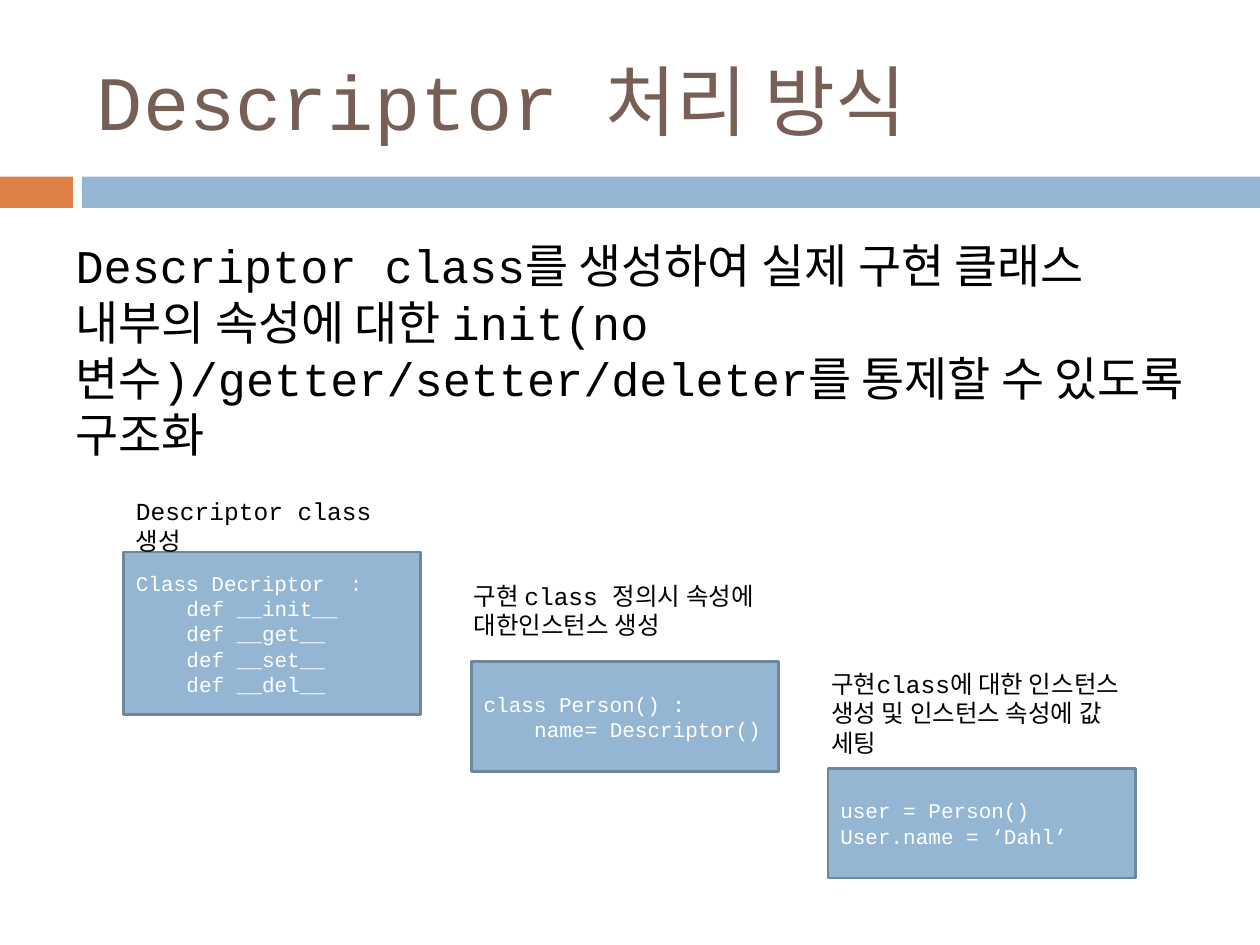
from lxml.etree import SubElement
from pptx import Presentation
from pptx.dml.color import RGBColor
from pptx.enum.shapes import MSO_SHAPE as Shape
from pptx.enum.text import MSO_ANCHOR as Anchor, MSO_AUTO_SIZE as AutoSize, PP_ALIGN as Align
from pptx.oxml.ns import qn
from pptx.util import Cm, Pt

FONT = "Courier New"
BLUE, ORANGE, EDGE = "94B6D2", "DD8047", "6D879B"
BROWN, BLACK, WHITE = "775F55", "000000", "FFFFFF"
CODE_INDENT = 1.02

HEADING = "Descriptor 처리 방식"
SUMMARY = ("Descriptor class를 생성하여 실제 구현 클래스 내부의 속성에 대한 "
           "init(no 변수)/getter/setter/deleter를 통제할 수 있도록 구조화")
BANDS = [
    ((0, 3.56, 1.47, 0.63), ORANGE),
    ((1.65, 3.56, 23.75, 0.63), BLUE),
]
STEPS = [
    {
        "label": "Descriptor class 생성",
        "label_box": (2.49, 9.88, 5.99, 0.86),
        "code": [(0, "Class Decriptor  :"), (1, "def __init__"), (1, "def __get__"),
                 (1, "def __set__"), (1, "def __del__")],
        "code_box": (2.49, 11.13, 5.99, 3.28),
    },
    {
        "label": "구현 class 정의시 속성에 대한인스턴스 생성",
        "label_box": (9.3, 11.58, 6.4, 1.45),
        "code": [(0, "class Person() :"), (1, "name= Descriptor()")],
        "code_box": (9.5, 13.34, 6.2, 2.21),
    },
    {
        "label": "구현class에 대한 인스턴스 생성 및 인스턴스 속성에 값 세팅",
        "label_box": (16.51, 13.36, 6.4, 2.06),
        "code": [(0, "user = Person()"), (0, "User.name = ‘Dahl’")],
        "code_box": (16.69, 15.49, 6.2, 2.21),
    },
]


def color(hex_code):
    return RGBColor.from_string(hex_code)


def place(placeholder, box):
    placeholder.left, placeholder.top, placeholder.width, placeholder.height = map(Cm, box)


def write(paragraph, text, *, size, ink, before=0, indent=0):
    paragraph.alignment = Align.LEFT
    paragraph.space_before = Pt(before)
    properties = paragraph._p.get_or_add_pPr()
    properties.set("marL", str(Cm(indent)))
    properties.set("indent", "0")
    SubElement(properties, qn("a:buNone"))
    run = paragraph.add_run()
    run.text = text
    run.font.name = FONT
    run.font.size = Pt(size)
    run.font.color.rgb = color(ink)


def add_block(slide, box, fill, edge=None):
    block = slide.shapes.add_shape(Shape.RECTANGLE, *map(Cm, box))
    block.shadow.inherit = False
    block.fill.solid()
    block.fill.fore_color.rgb = color(fill)
    if edge:
        block.line.color.rgb = color(edge)
        block.line.width = Pt(1.5)
    else:
        block.line.fill.background()
    return block


def add_code(slide, box, lines):
    frame = add_block(slide, box, BLUE, EDGE).text_frame
    frame.word_wrap = True
    frame.vertical_anchor = Anchor.MIDDLE
    for number, (level, text) in enumerate(lines):
        paragraph = frame.add_paragraph() if number else frame.paragraphs[0]
        write(paragraph, text, size=12, ink=WHITE, indent=level * CODE_INDENT)


def add_label(slide, box, text):
    frame = slide.shapes.add_textbox(*map(Cm, box)).text_frame
    frame.word_wrap = True
    frame.auto_size = AutoSize.SHAPE_TO_FIT_TEXT
    write(frame.paragraphs[0], text, size=14, ink=BLACK)


def main():
    deck = Presentation()
    deck.slide_width, deck.slide_height = Cm(25.4), Cm(19.05)
    slide = deck.slides.add_slide(deck.slide_layouts[1])

    for box, fill in BANDS:
        add_block(slide, box, fill)

    title, body = slide.placeholders
    place(title, (1.7, 0.64, 22.66, 2.74))
    title.text_frame.vertical_anchor = Anchor.MIDDLE
    write(title.text_frame.paragraphs[0], HEADING, size=44, ink=BROWN)

    place(body, (1.27, 4.65, 22.86, 4.47))
    body.text_frame.auto_size = AutoSize.NONE
    write(body.text_frame.paragraphs[0], SUMMARY, size=26.8, ink=BLACK, before=7)

    for step in STEPS:
        add_code(slide, step["code_box"], step["code"])
    for step in STEPS:
        add_label(slide, step["label_box"], step["label"])

    deck.save("out.pptx")


if __name__ == "__main__":
    main()
